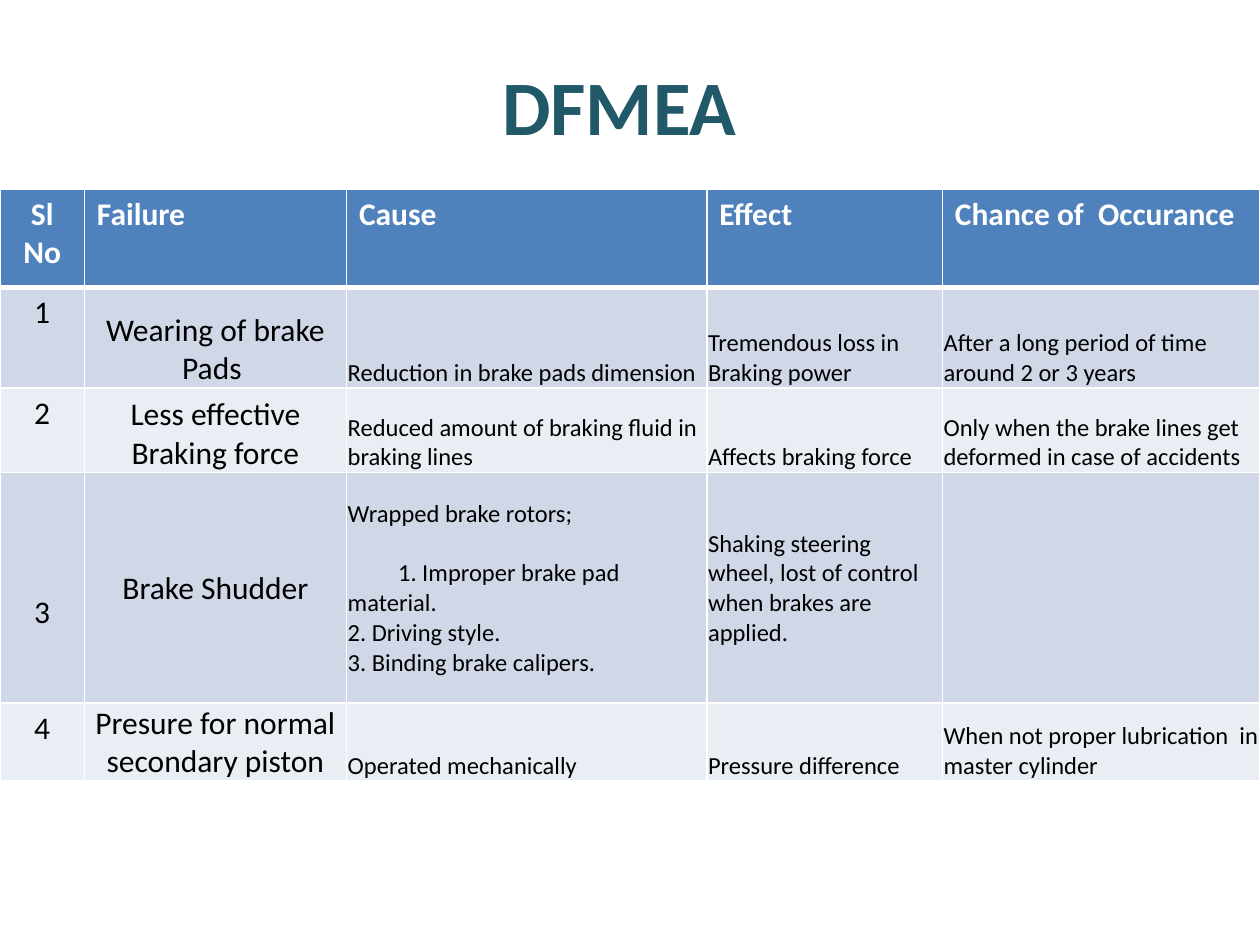
from lxml.etree import SubElement
from pptx import Presentation
from pptx.dml.color import RGBColor
from pptx.enum.text import MSO_ANCHOR as Anchor, PP_ALIGN as Align
from pptx.oxml.ns import qn
from pptx.util import Inches, Pt

WIDTH, HEIGHT = 10, 7.5
COLUMNS = [0.67, 2.08, 2.86, 1.87, 2.52]
ROWS = [0.78, 0.8, 0.67, 1.83, 0.61]
HEADER_FILL, BAND_FILLS = "4F81BD", ["D0D8E8", "E9EDF4"]
SHUDDER_ROW = 3
TABLE = [
    ["Sl No", "Failure", "Cause", "Effect", "Chance of  Occurance"],
    ["1", "Wearing of brake Pads ", "Reduction in brake pads dimension",
     "Tremendous loss in Braking power",
     "After a long period of time around 2 or 3 years"],
    ["2", "Less effective Braking force",
     "Reduced amount of braking fluid in braking lines",
     "Affects braking force",
     "Only when the brake lines get deformed in case of accidents"],
    ["3", "Brake Shudder",
     "Wrapped brake rotors;\n1. Improper brake pad material.\n"
     "2. Driving style.\n3. Binding brake calipers.",
     "Shaking steering wheel, lost of control when brakes are applied.", ""],
    ["4", "Presure for normal secondary piston", "Operated mechanically",
     "Pressure difference",
     "When not proper lubrication  in master cylinder"],
]


def color(value):
    """Turn a hex string into a colour."""
    return RGBColor.from_string(value)


def set_values(target, values):
    """Set each named attribute of the target."""
    for name, value in values.items():
        setattr(target, name, value)


def format_font(paragraph, size, shade, bold=False):
    """Format the text of a paragraph."""
    set_values(paragraph.font, {"name": "Calibri", "size": Pt(size), "bold": bold})
    paragraph.font.color.rgb = color(shade)


def add_title(slide, text):
    """Place and fill the title placeholder."""
    title = slide.shapes.title
    set_values(title, {
        "left": Inches(WIDTH / 15), "top": Inches(HEIGHT * 0.044),
        "width": Inches(WIDTH * 0.85), "height": Inches(HEIGHT / 7.5)})
    title.text_frame.text = text
    title.text_frame.vertical_anchor = Anchor.MIDDLE
    paragraph = title.text_frame.paragraphs[0]
    paragraph.alignment = Align.CENTER
    format_font(paragraph, 44, "215968", True)


def add_borders(cell, bottom):
    """Draw white borders round a cell."""
    properties = cell._tc.get_or_add_tcPr()
    for tag, points in {"lnL": 1, "lnR": 1, "lnT": 1, "lnB": bottom}.items():
        line = SubElement(properties, qn(f"a:{tag}"), w=str(Pt(points)))
        fill = SubElement(line, qn("a:solidFill"))
        SubElement(fill, qn("a:srgbClr"), val="FFFFFF")


def place_text(cell, row, column):
    """Set the margins and anchor of a cell."""
    if row and column:
        edge = Inches(0.01)
        set_values(cell, {
            "margin_left": edge, "margin_right": edge,
            "margin_top": edge, "margin_bottom": 0,
            "vertical_anchor": Anchor.MIDDLE if row == SHUDDER_ROW else Anchor.BOTTOM})
    elif row == SHUDDER_ROW:
        cell.margin_top = Inches(0.96)


def fill_cell(cell, row, column, text):
    """Write and format one cell of the table."""
    add_borders(cell, 1 if row else 3)
    cell.fill.solid()
    cell.fill.fore_color.rgb = color(BAND_FILLS[(row - 1) % 2] if row else HEADER_FILL)
    place_text(cell, row, column)
    cell.text = text
    centred = column == 0 or (row and column == 1)
    for paragraph in cell.text_frame.paragraphs:
        paragraph.alignment = Align.CENTER if centred else Align.LEFT
        format_font(paragraph, 14 if row and column > 1 else 18,
                    "000000" if row else "FFFFFF", not row)


def add_table(slide):
    """Add the failure table across the slide."""
    table = slide.shapes.add_table(
        len(ROWS), len(COLUMNS), 0, Inches(HEIGHT / 5),
        Inches(WIDTH), Inches(sum(ROWS))).table
    for column, width in zip(table.columns, COLUMNS):
        column.width = Inches(width)
    for row, height in zip(table.rows, ROWS):
        row.height = Inches(height)
    for row, texts in enumerate(TABLE):
        for column, text in enumerate(texts):
            fill_cell(table.cell(row, column), row, column, text)
    return table


def indent_first_cause(cell):
    """Set the first numbered cause apart from its lead line."""
    paragraph = cell.text_frame.paragraphs[1]
    paragraph.space_before = Pt(17)
    paragraph._p.get_or_add_pPr().set("indent", str(Inches(0.4)))


def main():
    """Build and save the slide."""
    presentation = Presentation()
    set_values(presentation, {
        "slide_width": Inches(WIDTH), "slide_height": Inches(HEIGHT)})
    slide = presentation.slides.add_slide(presentation.slide_layouts[5])
    table = add_table(slide)
    indent_first_cause(table.cell(SHUDDER_ROW, 2))
    add_title(slide, "DFMEA")
    presentation.save("out.pptx")


if __name__ == "__main__":
    main()
